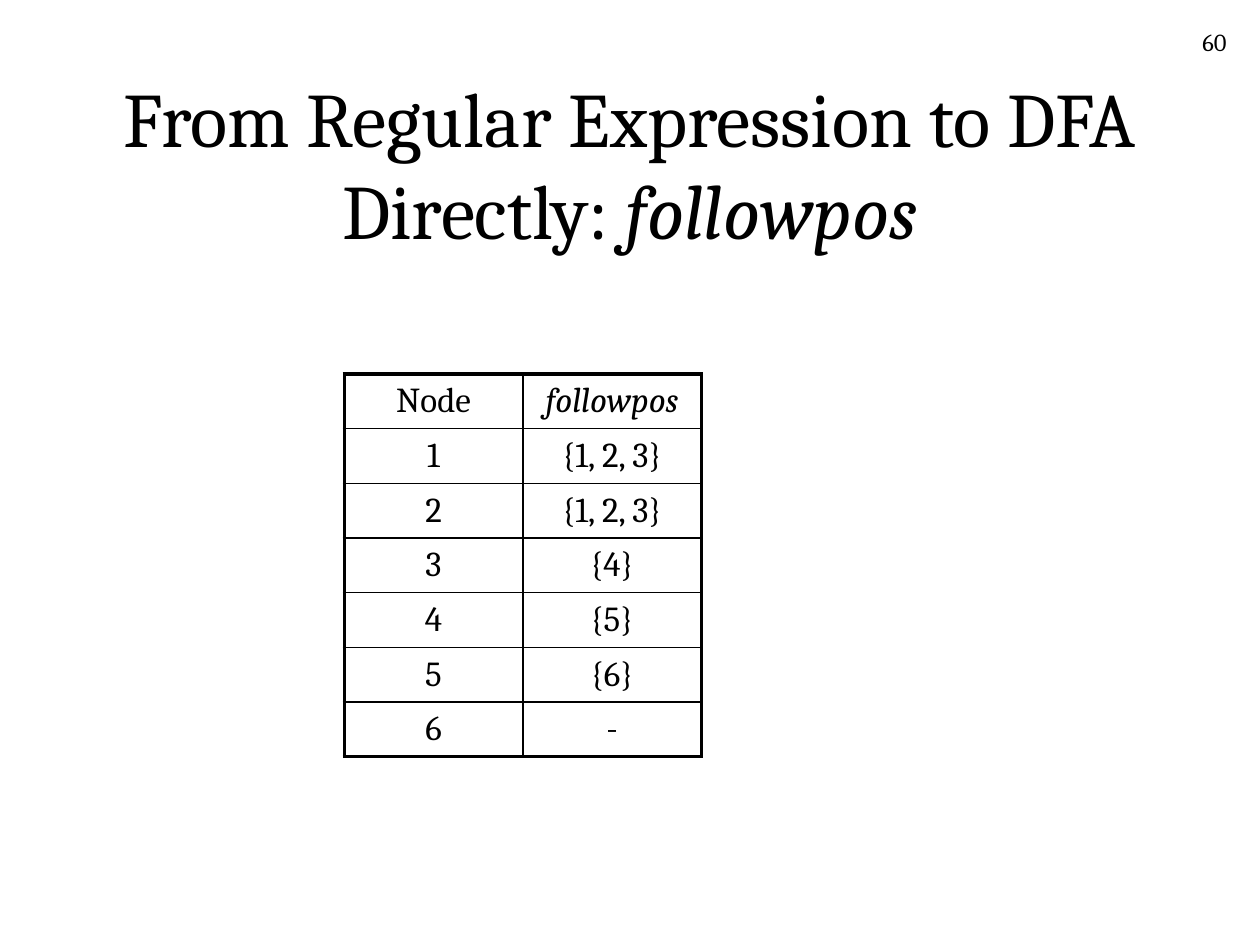
"""Build the followpos table slide."""
from pptx import Presentation
from pptx.dml.color import RGBColor
from pptx.enum.text import MSO_ANCHOR as ANCHOR, PP_ALIGN as ALIGN
from pptx.oxml import parse_xml
from pptx.oxml.ns import nsdecls
from pptx.util import Pt


def color(hex_value):
    return RGBColor.from_string(hex_value)


def write(tf, runs, size, align):
    p = tf.paragraphs[0]
    p.alignment = align
    for text, italic in runs:
        r = p.add_run()
        r.text = text
        fmt = {"name": "Cambria", "size": Pt(size), "italic": italic}
        for key, value in fmt.items():
            setattr(r.font, key, value)
        r.font.color.rgb = color("000000")


prs = Presentation()
prs.slide_width, prs.slide_height = Pt(720), Pt(540)
s = prs.slides.add_slide(prs.slide_layouts[6])

title = [("From Regular Expression to DFA Directly: ", False), ("followpos", True)]
boxes = [
    ((558, 12, 150, 36), [("60", False)], 14, ALIGN.RIGHT, ANCHOR.TOP),
    ((54, 48, 612, 90), title, 44, ALIGN.CENTER, ANCHOR.MIDDLE),
]
for bounds, runs, size, align, anchor in boxes:
    tf = s.shapes.add_textbox(*map(Pt, bounds)).text_frame
    for key, value in {"word_wrap": True, "vertical_anchor": anchor}.items():
        setattr(tf, key, value)
    write(tf, runs, size, align)

rows = [
    ("Node", "followpos"),
    ("1", "{1, 2, 3}"),
    ("2", "{1, 2, 3}"),
    ("3", "{4}"),
    ("4", "{5}"),
    ("5", "{6}"),
    ("6", "-"),
]
row_height, col_width = 31.25, 102
n_rows, n_cols = len(rows), len(rows[0])
frame = s.shapes.add_table(
    n_rows, n_cols, Pt(196.75), Pt(213.75),
    Pt(col_width * n_cols), Pt(row_height * n_rows),
)
table = frame.table
for i, row in enumerate(rows):
    table.rows[i].height = Pt(row_height)
    for j, text in enumerate(row):
        cell = table.cell(i, j)
        cell.vertical_anchor = ANCHOR.MIDDLE
        write(cell.text_frame, [(text, text == "followpos")], 20, ALIGN.CENTER)
        outer = {"L": j == 0, "R": j == n_cols - 1, "T": i == 0, "B": i == n_rows - 1}
        for side, is_outer in outer.items():
            width = Pt(2.25 if is_outer else 1)
            cell._tc.get_or_add_tcPr().append(parse_xml(
                f'<a:ln{side} {nsdecls("a")} w="{width}"><a:solidFill>'
                f'<a:srgbClr val="000000"/></a:solidFill></a:ln{side}>'
            ))
        cell.fill.background()

prs.save("out.pptx")
